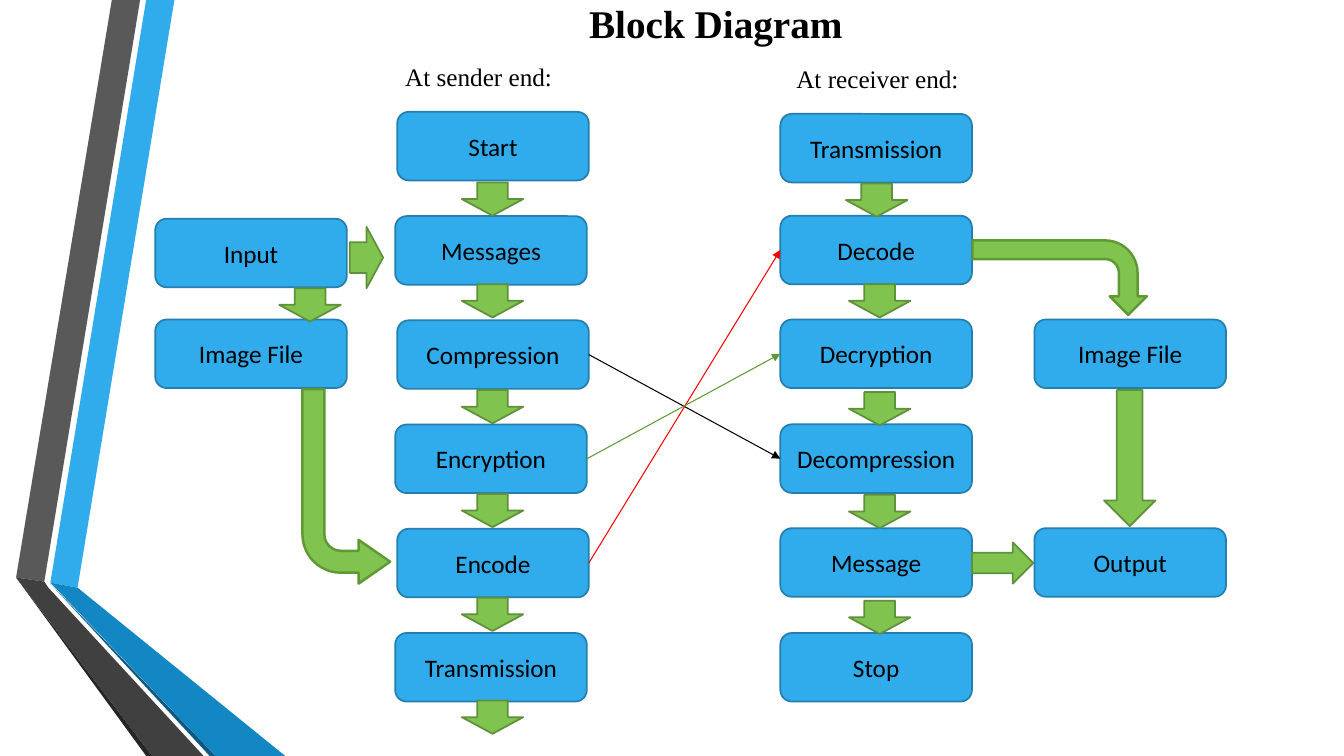
from pptx import Presentation
from pptx.dml.color import RGBColor
from pptx.enum.shapes import MSO_CONNECTOR, MSO_SHAPE
from pptx.enum.text import MSO_ANCHOR, PP_ALIGN
from pptx.oxml.ns import qn
from pptx.util import Inches, Pt
from lxml.etree import SubElement

BLACK = RGBColor(0x00, 0x00, 0x00)
RED = RGBColor(0xFF, 0x00, 0x00)
SKY = RGBColor(0x30, 0xAC, 0xEC)
SKY_EDGE = RGBColor(0x24, 0x7F, 0xAF)
BLUE = RGBColor(0x12, 0x87, 0xC3)
NAVY = RGBColor(0x0C, 0x5A, 0x82)
GRAY = RGBColor(0x59, 0x59, 0x59)
CHARCOAL = RGBColor(0x40, 0x40, 0x40)
COAL = RGBColor(0x26, 0x26, 0x26)
GREEN = RGBColor(0x80, 0xC3, 0x4F)
GREEN_EDGE = RGBColor(0x5F, 0x90, 0x3A)
LEAF = RGBColor(0x5F, 0x99, 0x34)

RIBBONS = [
    (SKY, [(0.5, 5.78), (0.77, 5.83), (1.73, 0), (1.45, 0)]),
    (GRAY, [(1.39, 0), (1.11, 0), (0.16, 5.73), (0.44, 5.77)]),
    (COAL, [(0.16, 5.73), (1.45, 7.5), (1.51, 7.5)]),
    (NAVY, [(0.5, 5.79), (2.08, 7.5), (2.14, 7.5)]),
    (BLUE, [(0.5, 5.78), (2.14, 7.5), (2.83, 7.5), (0.77, 5.83)]),
    (CHARCOAL, [(2.02, 7.5), (0.48, 5.83), (0.44, 5.77), (0.16, 5.73), (1.51, 7.5)]),
]
SENDER_STEPS = ["Start", "Messages", "Compression", "Encryption", "Encode", "Transmission"]
RECEIVER_STEPS = ["Transmission", "Decode", "Decryption", "Decompression", "Message", "Stop"]
ROW_TOPS = [1.11 + 1.034 * row for row in range(6)]
RECEIVER_TOPS = [1.13, 2.14, 3.17, 4.21, 5.24, 6.28]
SENDER_ARROW_TOPS = [1.81, 2.82, 3.87, 4.9, 5.93, 6.95]
RECEIVER_ARROWS = [(8.39, 1.82), (8.42, 2.82), (8.42, 3.89), (8.42, 4.91), (8.42, 5.96)]
LEFT_SITE, RIGHT_SITE = 1, 3


def add_ribbon(slide, color, points):
    corners = [(Inches(x), Inches(y)) for x, y in points]
    builder = slide.shapes.build_freeform(*corners[0])
    builder.add_line_segments(corners[1:], close=True)
    ribbon = builder.convert_to_shape()
    ribbon.shadow.inherit = False
    ribbon.fill.solid()
    ribbon.fill.fore_color.rgb = color
    ribbon.line.fill.background()


def add_preset(slide, preset, left, top, width, height, fill, edge, weight=1.25):
    shape = slide.shapes.add_shape(
        preset, Inches(left), Inches(top), Inches(width), Inches(height))
    shape.shadow.inherit = False
    shape.fill.solid()
    shape.fill.fore_color.rgb = fill
    shape.line.color.rgb = edge
    shape.line.width = Pt(weight)
    return shape


def write(frame, text, font, size, align, bold=False):
    paragraph = frame.paragraphs[0]
    paragraph.text = text
    paragraph.alignment = align
    paragraph.font.name = font
    paragraph.font.size = Pt(size)
    paragraph.font.bold = bold
    paragraph.font.color.rgb = BLACK


def add_step(slide, text, left, top):
    step = add_preset(slide, MSO_SHAPE.ROUNDED_RECTANGLE, left, top, 1.9, 0.68, SKY, SKY_EDGE)
    step.text_frame.vertical_anchor = MSO_ANCHOR.MIDDLE
    write(step.text_frame, text, "Calibri", 18, PP_ALIGN.CENTER)
    return step


def add_arrow(slide, left, top, width=0.61, height=0.33, rotation=0):
    arrow = add_preset(
        slide, MSO_SHAPE.DOWN_ARROW, left, top, width, height, GREEN, GREEN_EDGE)
    arrow.rotation = rotation


def add_bent_arrow(slide, left, top, width, height, rotation):
    arrow = add_preset(
        slide, MSO_SHAPE.BENT_ARROW, left, top, width, height, GREEN, LEAF, 1.75)
    arrow.rotation = rotation
    return arrow


def add_label(slide, text, left, top, width, height, size=18,
              align=PP_ALIGN.LEFT, bold=False, wrap=False):
    label = slide.shapes.add_textbox(Inches(left), Inches(top), Inches(width), Inches(height))
    label.text_frame.word_wrap = wrap
    label.text_frame.vertical_anchor = MSO_ANCHOR.MIDDLE
    write(label.text_frame, text, "Times New Roman", size, align, bold)


def add_link(slide, source, target, color):
    link = slide.shapes.add_connector(MSO_CONNECTOR.STRAIGHT, 0, 0, 0, 0)
    link.begin_connect(source, RIGHT_SITE)
    link.end_connect(target, LEFT_SITE)
    link.line.color.rgb = color
    link.line.width = Pt(0.75)
    SubElement(link.line._get_or_add_ln(), qn("a:tailEnd"), type="triangle")
    SubElement(link._element.spPr, qn("a:effectLst"))


def main():
    deck = Presentation()
    deck.slide_width, deck.slide_height = Inches(13.33), Inches(7.5)
    slide = deck.slides.add_slide(deck.slide_layouts[6])

    for color, points in RIBBONS:
        add_ribbon(slide, color, points)

    add_label(slide, "Block Diagram", 1.62, 0, 10.96, 0.45, 28, PP_ALIGN.CENTER, True, True)
    add_label(slide, "At sender end:", 3.92, 0.56, 1.72, 0.4)
    add_label(slide, "At receiver end:", 7.8, 0.58, 1.84, 0.4)

    sender = [add_step(slide, text, 3.92 if row % 2 else 3.94, top)
              for row, (text, top) in enumerate(zip(SENDER_STEPS, ROW_TOPS))]
    receiver = [add_step(slide, text, 7.74, top)
                for text, top in zip(RECEIVER_STEPS, RECEIVER_TOPS)]
    for text, left, top in [("Input", 1.54, 2.17), ("Image File", 1.54, 3.17),
                            ("Image File", 10.26, 3.17), ("Output", 10.26, 5.24)]:
        add_step(slide, text, left, top)

    for top in SENDER_ARROW_TOPS:
        add_arrow(slide, 4.58, top)
    for left, top in RECEIVER_ARROWS:
        add_arrow(slide, left, top)
    add_arrow(slide, 2.77, 2.86)
    add_arrow(slide, 3.33, 2.39, rotation=270)
    add_arrow(slide, 10.95, 3.87, 0.51, 1.35)
    add_arrow(slide, 9.74, 5.28, 0.41, 0.61, rotation=270)

    add_bent_arrow(slide, 10.14, 1.89, 0.74, 1.73, 90)
    image_to_encode = add_bent_arrow(slide, 3, 3.86, 0.87, 1.93, 180)
    image_to_encode.adjustments[2] = 0.36
    image_to_encode._element.spPr.find(qn("a:xfrm")).set("flipH", "1")

    for source, target, color in [(2, 3, BLACK), (4, 1, RED), (3, 2, LEAF)]:
        add_link(slide, sender[source], receiver[target], color)

    deck.save("out.pptx")


main()
